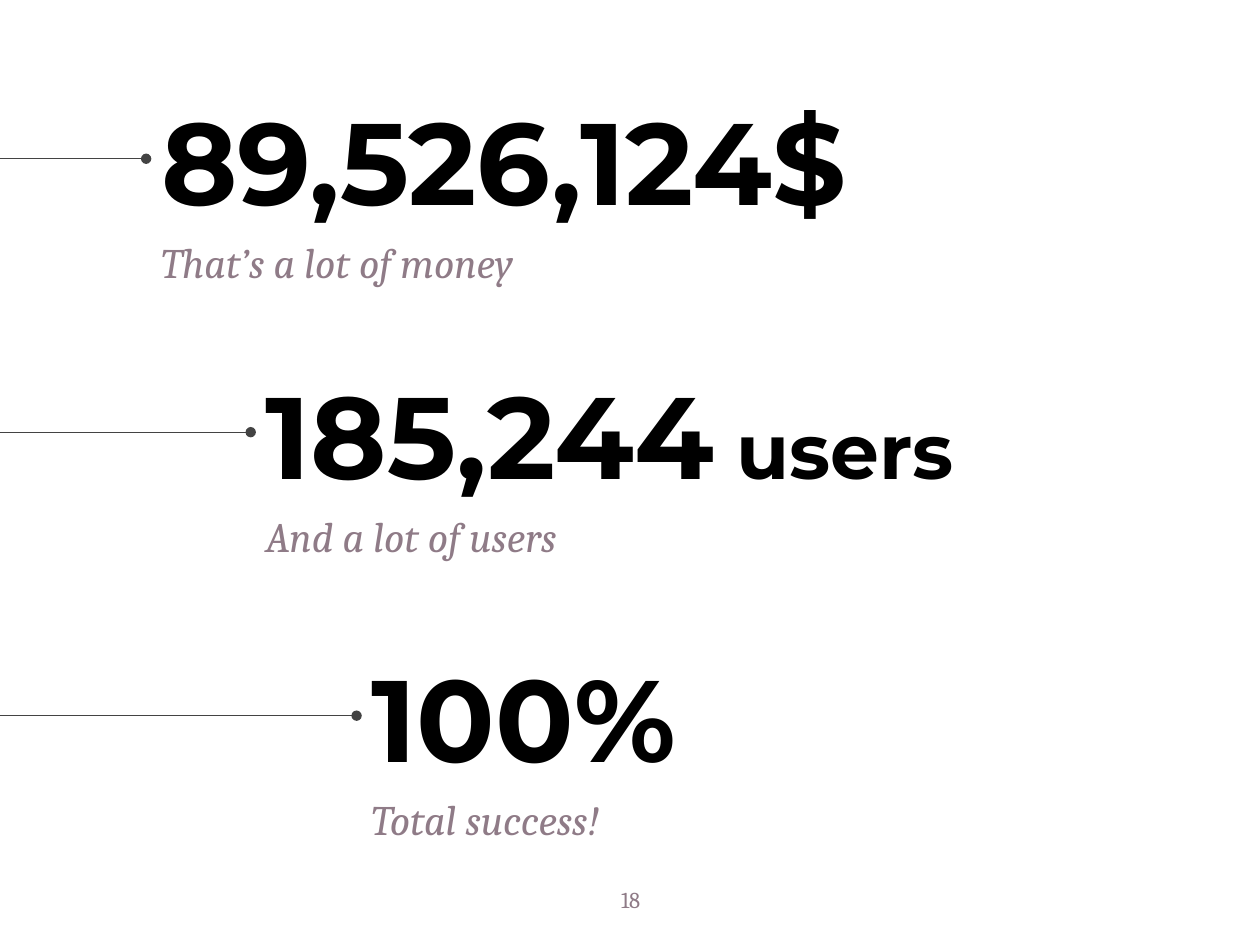
from dataclasses import dataclass

from lxml.etree import SubElement
from pptx import Presentation
from pptx.dml.color import RGBColor
from pptx.enum.shapes import MSO_CONNECTOR
from pptx.enum.text import MSO_ANCHOR, MSO_AUTO_SIZE, PP_ALIGN
from pptx.oxml.ns import qn
from pptx.slide import Slide
from pptx.util import Inches, Pt


@dataclass(frozen=True)
class Theme:
    ink: str = "000000"
    mauve: str = "8F7B87"
    rule: str = "434343"
    head: str = "Montserrat"
    body: str = "Cambria"
    big: float = 66.2
    unit: float = 44.2
    note: float = 24
    page: float = 13
    thin: float = 0.75


@dataclass(frozen=True)
class Fact:
    left: float
    top: float
    value: str
    note: str
    unit: str = ""


THEME = Theme()
WIDTH, HEIGHT = 10, 7.5
FACTS = [
    Fact(1.18, 0.61, "89,526,124$", "That’s a lot of money"),
    Fact(2.01, 2.78, "185,244", "And a lot of users", " users"),
    Fact(2.85, 5.03, "100%", "Total success!"),
]


def add_text(slide: Slide, box: tuple, runs: list[tuple[str, float]], *,
             font: str, color: str, bold: bool = False, italic: bool = False,
             anchor=MSO_ANCHOR.TOP, align=PP_ALIGN.LEFT, wrap: bool = True,
             grow: bool = False, before: float = 0, leading: float = 1.0) -> None:
    """Add one paragraph; each run is a text and its size in points."""
    frame = slide.shapes.add_textbox(*map(Inches, box)).text_frame
    frame.word_wrap = wrap
    frame.auto_size = MSO_AUTO_SIZE.SHAPE_TO_FIT_TEXT if grow else MSO_AUTO_SIZE.NONE
    frame.vertical_anchor = anchor
    frame.margin_left = frame.margin_right = Inches(0.1)
    frame.margin_top = frame.margin_bottom = Inches(0.1)
    para = frame.paragraphs[0]
    para.alignment = align
    para.space_before = Pt(before)
    para.line_spacing = leading
    for text, size in runs:
        run = para.add_run()
        run.text = text
        run.font.name = font
        run.font.size = Pt(size)
        run.font.bold = bold
        run.font.italic = italic
        run.font.color.rgb = RGBColor.from_string(color)


def add_lead(slide: Slide, right: float, y: float) -> None:
    """Draw a line from a dot at right to the slide's left edge."""
    line = slide.shapes.add_connector(
        MSO_CONNECTOR.STRAIGHT, Inches(right), Inches(y), Inches(0), Inches(y))
    line.line.width = Pt(THEME.thin)
    line.line.color.rgb = RGBColor.from_string(THEME.rule)
    props = line.element.spPr
    SubElement(props.find(qn("a:ln")), qn("a:headEnd"), type="oval")
    SubElement(props, qn("a:effectLst"))


def add_fact(slide: Slide, fact: Fact) -> None:
    runs = [(fact.value, THEME.big)]
    if fact.unit:
        runs.append((fact.unit, THEME.unit))
    add_text(slide, (fact.left, fact.top, 6.57, 1.31), runs, font=THEME.head,
             color=THEME.ink, bold=True, anchor=MSO_ANCHOR.MIDDLE)
    add_text(slide, (fact.left, fact.top + 1.11, 6.57, 0.68),
             [(fact.note, THEME.note)], font=THEME.body, color=THEME.mauve,
             italic=True, before=6, leading=1.15)
    add_lead(slide, fact.left - 0.02, fact.top + 0.65)


def main() -> None:
    deck = Presentation()
    deck.slide_width, deck.slide_height = Inches(WIDTH), Inches(HEIGHT)
    slide = deck.slides.add_slide(deck.slide_layouts[6])
    for fact in FACTS:
        add_fact(slide, fact)
    add_text(slide, (4.8, 6.93, 0.41, 0.44), [("18", THEME.page)],
             font=THEME.body, color=THEME.mauve, align=PP_ALIGN.CENTER,
             wrap=False, grow=True)
    deck.save("out.pptx")


if __name__ == "__main__":
    main()
